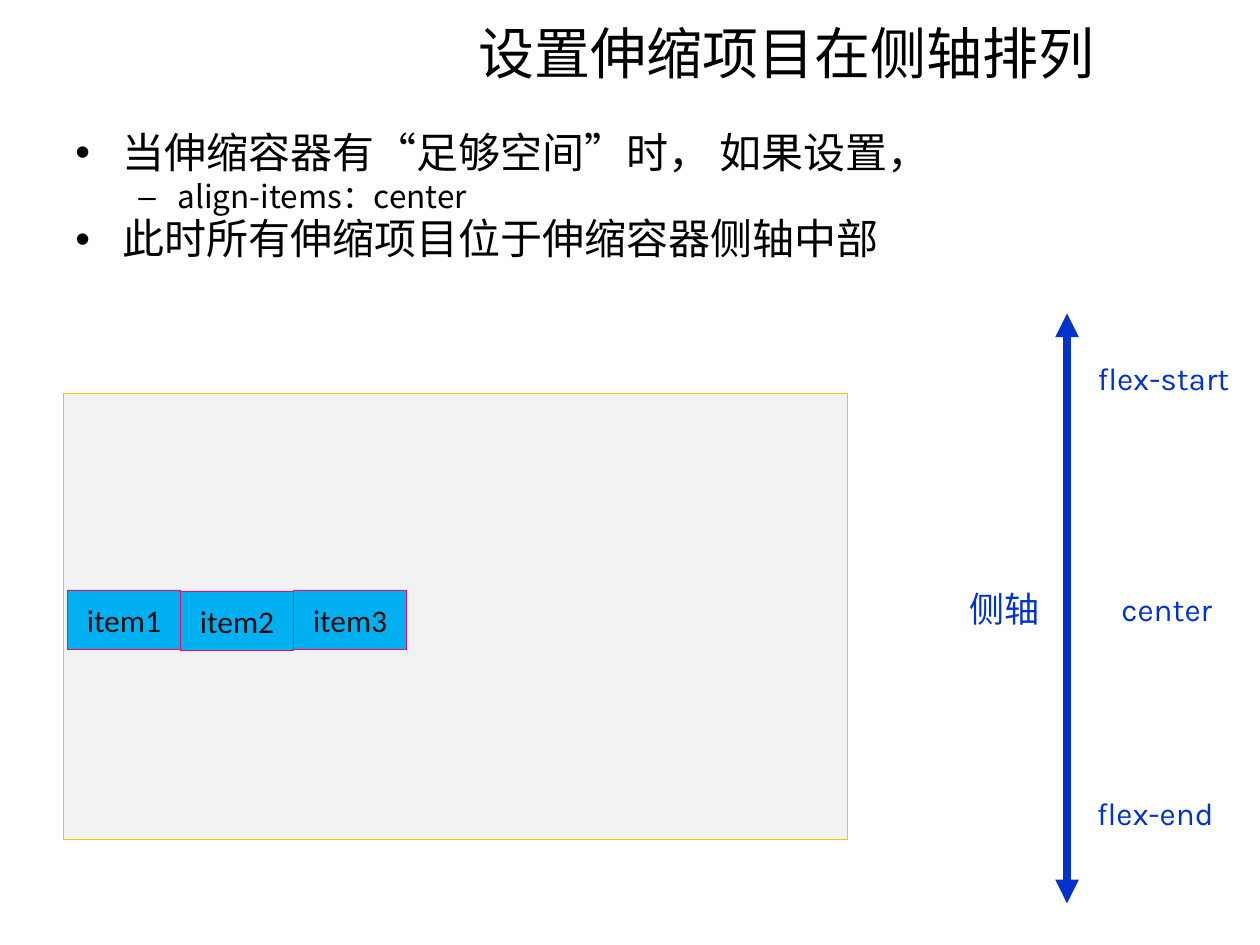
import lxml.etree
import pptx
import pptx.dml.color
import pptx.enum.shapes
import pptx.enum.text
import pptx.oxml.ns
import pptx.util
from pptx.util import Cm

COLORS = {
    "text": "000000",
    "item_text": "0D0D0D",
    "axis": "0033CC",
    "container": "F2F2F2",
    "container_line": "FFC000",
    "item": "00B0F0",
    "item_line": "FF0066",
}
CHINESE = "Noto Sans CJK SC"
CENTER = pptx.enum.text.PP_ALIGN.CENTER
MIDDLE = pptx.enum.text.MSO_ANCHOR.MIDDLE


def rgb(name):
    return pptx.dml.color.RGBColor.from_string(COLORS[name])


def add_element(parent, tag, **attributes):
    return lxml.etree.SubElement(parent, pptx.oxml.ns.qn(tag), attributes)


class FlexPage:
    """Holds the slide and the style of its elements."""

    def __init__(self, deck):
        self.page = deck.slides.add_slide(deck.slide_layouts[5])
        self.shapes = self.page.shapes

    def start_group(self):
        """Put the elements that follow into one group."""
        self.shapes = self.page.shapes.add_group_shape().shapes

    def add_span(self, para, text, size, font, color):
        span = para.add_run()
        span.text = text
        span.font.size = pptx.util.Pt(size)
        span.font.name = font
        span.font.color.rgb = rgb(color)
        add_element(span.font._element, "a:ea", typeface=font)

    def title(self, text, left, top, width, height):
        box = self.page.shapes.title
        box.left, box.top, box.width, box.height = map(Cm, (left, top, width, height))
        box.text_frame.vertical_anchor = MIDDLE
        para = box.text_frame.paragraphs[0]
        para.alignment = CENTER
        self.add_span(para, text, 32, CHINESE, "text")

    def bullets(self, entries, left, top, width, height):
        """Add (level, text) entries as a two-level bullet list."""
        styles = [("•", 24, 0.95, -0.95), ("–", 18, 2.06, -0.79)]
        box = self.shapes.add_textbox(*map(Cm, (left, top, width, height)))
        frame = box.text_frame
        frame.word_wrap = True
        for number, (level, text) in enumerate(entries):
            sign, size, margin, indent = styles[level]
            para = frame.add_paragraph() if number else frame.paragraphs[0]
            para.level = level
            para.line_spacing = 0.9
            if number:
                para.space_before = pptx.util.Pt(2)
            properties = para._p.get_or_add_pPr()
            properties.set("marL", str(Cm(margin)))
            properties.set("indent", str(Cm(indent)))
            add_element(properties, "a:buFont", typeface="Arial")
            add_element(properties, "a:buChar", char=sign)
            self.add_span(para, text, size, CHINESE, "text")

    def block(self, fill, line, left, top, width, height, text=None):
        shape = self.shapes.add_shape(
            pptx.enum.shapes.MSO_SHAPE.ROUNDED_RECTANGLE,
            *map(Cm, (left, top, width, height)))
        shape.adjustments[0] = 0
        shape.shadow.inherit = False
        shape.fill.solid()
        shape.fill.fore_color.rgb = rgb(fill)
        shape.line.color.rgb = rgb(line)
        shape.line.width = pptx.util.Pt(0.25)
        if text:
            shape.text_frame.vertical_anchor = MIDDLE
            para = shape.text_frame.paragraphs[0]
            para.alignment = CENTER
            self.add_span(para, text, 18, "Calibri", "item_text")

    def label(self, text, left, top, width, height, size=18, font="Karla"):
        box = self.shapes.add_textbox(*map(Cm, (left, top, width, height)))
        box.text_frame.word_wrap = True
        para = box.text_frame.paragraphs[0]
        para.alignment = CENTER
        self.add_span(para, text, size, font, "axis")

    def double_arrow(self, x, top, bottom):
        arrow = self.shapes.add_connector(
            pptx.enum.shapes.MSO_CONNECTOR.STRAIGHT,
            Cm(x), Cm(top), Cm(x), Cm(bottom))
        arrow.line.color.rgb = rgb("axis")
        arrow.line.width = pptx.util.Pt(4.5)
        line = arrow.line._get_or_add_ln()
        add_element(line, "a:headEnd", type="triangle")
        add_element(line, "a:tailEnd", type="triangle")
        add_element(arrow._element.spPr, "a:effectLst")


def main():
    deck = pptx.Presentation()
    deck.slide_width, deck.slide_height = Cm(25.4), Cm(19.05)
    page = FlexPage(deck)

    page.title("设置伸缩项目在侧轴排列", 6.58, 0.08, 18.57, 1.93)
    page.bullets([
        (0, "当伸缩容器有“足够空间”时， 如果设置，"),
        (1, "align-items：center"),
        (0, "此时所有伸缩项目位于伸缩容器侧轴中部"),
    ], 1.27, 2.54, 22.86, 3.78)

    page.block("container", "container_line", 1.27, 7.92, 15.82, 8.99)
    item_width = 2.28
    for index, top in enumerate([11.89, 11.91, 11.89]):
        page.block("item", "item_line", 1.36 + index * item_width, top,
                   item_width, 1.2, f"item{index + 1}")

    page.start_group()
    page.label("flex-start", 21.51, 7.11, 3.89, 1.02)
    page.label("flex-end", 21.36, 15.88, 3.86, 1.02)
    page.label("center", 22.07, 11.76, 2.9, 1.02)
    page.double_arrow(21.51, 6.32, 18.21)
    page.label("侧轴", 19.18, 11.71, 2.13, 1.12, 20, "Noto Sans CJK JP")

    deck.save("out.pptx")


if __name__ == "__main__":
    main()
